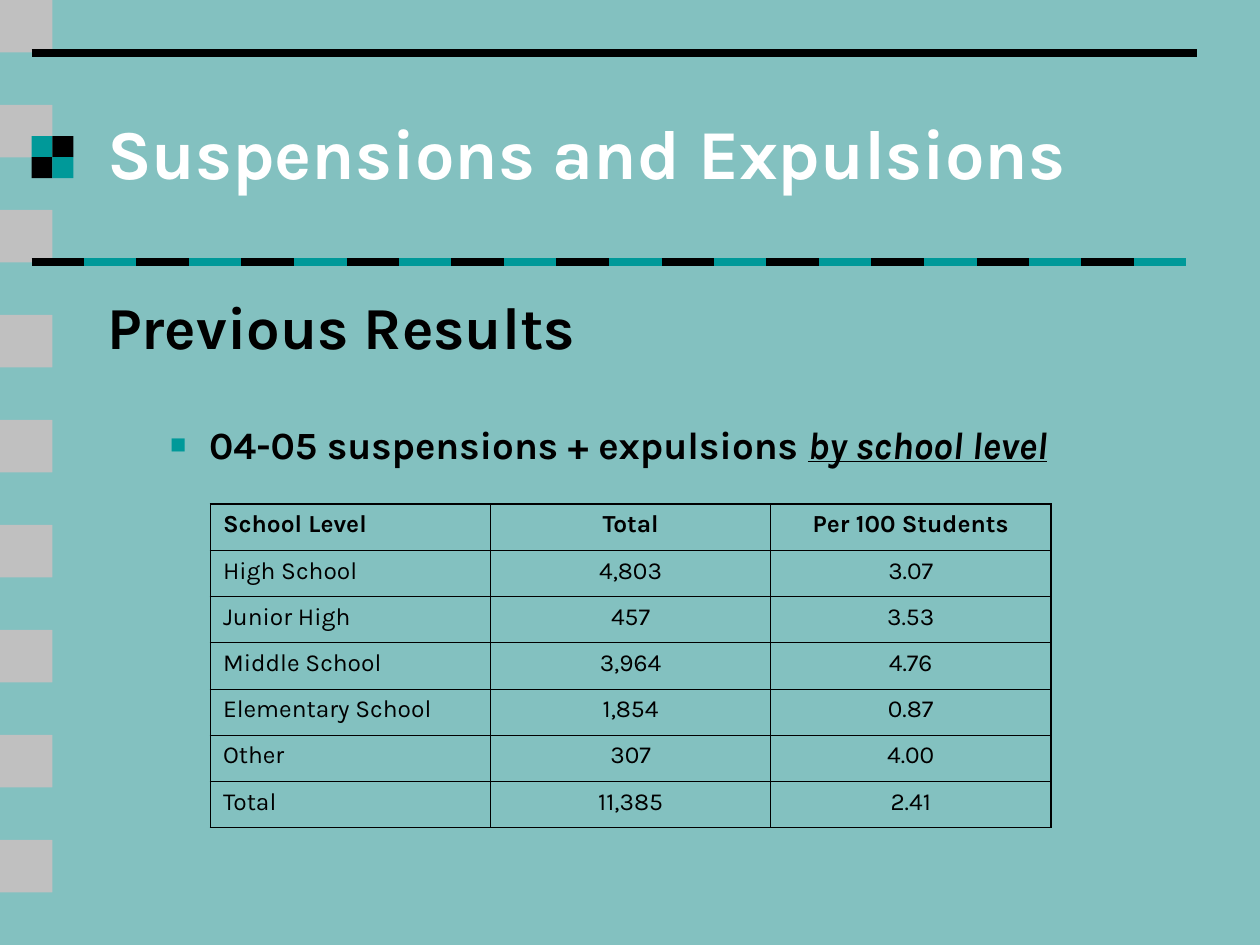
from lxml.etree import SubElement
from pptx import Presentation
from pptx.dml.color import RGBColor
from pptx.enum.shapes import MSO_CONNECTOR, MSO_SHAPE
from pptx.enum.text import MSO_ANCHOR, MSO_AUTO_SIZE, PP_ALIGN
from pptx.oxml.ns import qn
from pptx.util import Inches, Pt

BLACK, TEAL, GREY = "000000", "009999", "C0C0C0"
STEP = 5 / 12  # side of a grey square, length of a dash


def paint(fill, color):
    fill.solid()
    fill.fore_color.rgb = RGBColor.from_string(color)


def write(para, text, size=14, color=BLACK, bold=False, italic=False,
          under=False, align=PP_ALIGN.LEFT, before=0):
    para.alignment = align
    para.space_before = Pt(before)
    run = para.add_run()
    run.text = text
    font = run.font
    font.name, font.size = "Karla", Pt(size)
    font.bold, font.italic, font.underline = bold, italic, under
    font.color.rgb = RGBColor.from_string(color)


prs = Presentation()
prs.slide_width, prs.slide_height = Inches(10), Inches(7.5)
slide = prs.slides.add_slide(prs.slide_layouts[1])
paint(slide.background.fill, "83C1C0")

# Grey squares down the left edge, then the small checker by the title
squares = [(0, 2 * STEP * i, STEP, GREY) for i in range(9)]
half = 1 / 6
for row in range(2):
    for col in range(2):
        color = TEAL if row == col else BLACK
        squares.append((0.25 + col * half, 1.08 + row * half, half, color))
for x, y, side, color in squares:
    box = slide.shapes.add_shape(MSO_SHAPE.RECTANGLE, Inches(x), Inches(y),
                                 Inches(side), Inches(side))
    box.shadow.inherit = False
    paint(box.fill, color)
    box.line.fill.background()

# Solid rule above the title, two-colour dashes below it
rules = [(0.25, 9.5, 0.42, BLACK)]
for i in range(22):
    x = 0.25 + i * STEP
    rules.append((x, x + STEP, 2.08, TEAL if i % 2 else BLACK))
for left, right, y, color in rules:
    rule = slide.shapes.add_connector(MSO_CONNECTOR.STRAIGHT, Inches(left),
                                      Inches(y), Inches(right), Inches(y))
    rule.line.width = Pt(4.5)
    paint(rule.line.fill, color)
    SubElement(rule._element.spPr, qn("a:effectLst"))

# Title and body
title, body = slide.shapes.title, slide.placeholders[1]
for box, top, height, anchor in ((title, 0.58, 1.25, MSO_ANCHOR.MIDDLE),
                                 (body, 2.25, 4.5, MSO_ANCHOR.TOP)):
    box.left, box.top = Inches(0.75), Inches(top)
    box.width, box.height = Inches(8.5), Inches(height)
    box.text_frame.auto_size = MSO_AUTO_SIZE.NONE
    box.text_frame.vertical_anchor = anchor
write(title.text_frame.paragraphs[0], "Suspensions and Expulsions",
      size=40, color="FFFFFF", bold=True)

head = body.text_frame.paragraphs[0]
props = head._p.get_or_add_pPr()
props.set("marL", str(Inches(0.38)))
props.set("indent", str(Inches(-0.38)))
SubElement(props, qn("a:buNone"))
write(head, "Previous Results", size=34, bold=True)

item = body.text_frame.add_paragraph()
item.level = 1
props = item._p.get_or_add_pPr()
props.set("marL", str(Inches(0.81)))
props.set("indent", str(Inches(-0.31)))
tint = SubElement(props, qn("a:buClr"))
SubElement(tint, qn("a:srgbClr"), val=TEAL)
SubElement(props, qn("a:buSzPct"), val="70000")
SubElement(props, qn("a:buChar"), char="■")
write(item, "04-05 suspensions + expulsions ", size=22, bold=True)
write(item, "by school level", size=22, bold=True, italic=True, under=True,
      before=34)

# Table
rows = [
    ("School Level", "Total", "Per 100 Students"),
    ("High School", "4,803", "3.07"),
    ("Junior High", "457", "3.53"),
    ("Middle School", "3,964", "4.76"),
    ("Elementary School", "1,854", "0.87"),
    ("Other", "307", "4.00"),
    ("Total", "11,385", "2.41"),
]
frame = slide.shapes.add_table(len(rows), 3, Inches(1.67), Inches(4),
                               Inches(6.67), Inches(2.57))
table = frame.table
table.first_row = table.horz_banding = False
for col in table.columns:
    col.width = Inches(6.67 / 3)
for r, texts in enumerate(rows):
    table.rows[r].height = Inches(2.57 / len(rows))
    for c, text in enumerate(texts):
        cell = table.cell(r, c)
        write(cell.text_frame.paragraphs[0], text, bold=r == 0,
              align=PP_ALIGN.CENTER if c else PP_ALIGN.LEFT)
        # Outer edges are heavier than inner ones
        props = cell._tc.get_or_add_tcPr()
        for side, outer in (("L", c == 0), ("R", c == 2),
                            ("T", r == 0), ("B", r == len(rows) - 1)):
            edge = SubElement(props, qn(f"a:ln{side}"),
                              w=str(Pt(1.08 if outer else 0.45)))
            fill = SubElement(edge, qn("a:solidFill"))
            SubElement(fill, qn("a:srgbClr"), val=BLACK)
        cell.fill.background()

prs.save("out.pptx")
